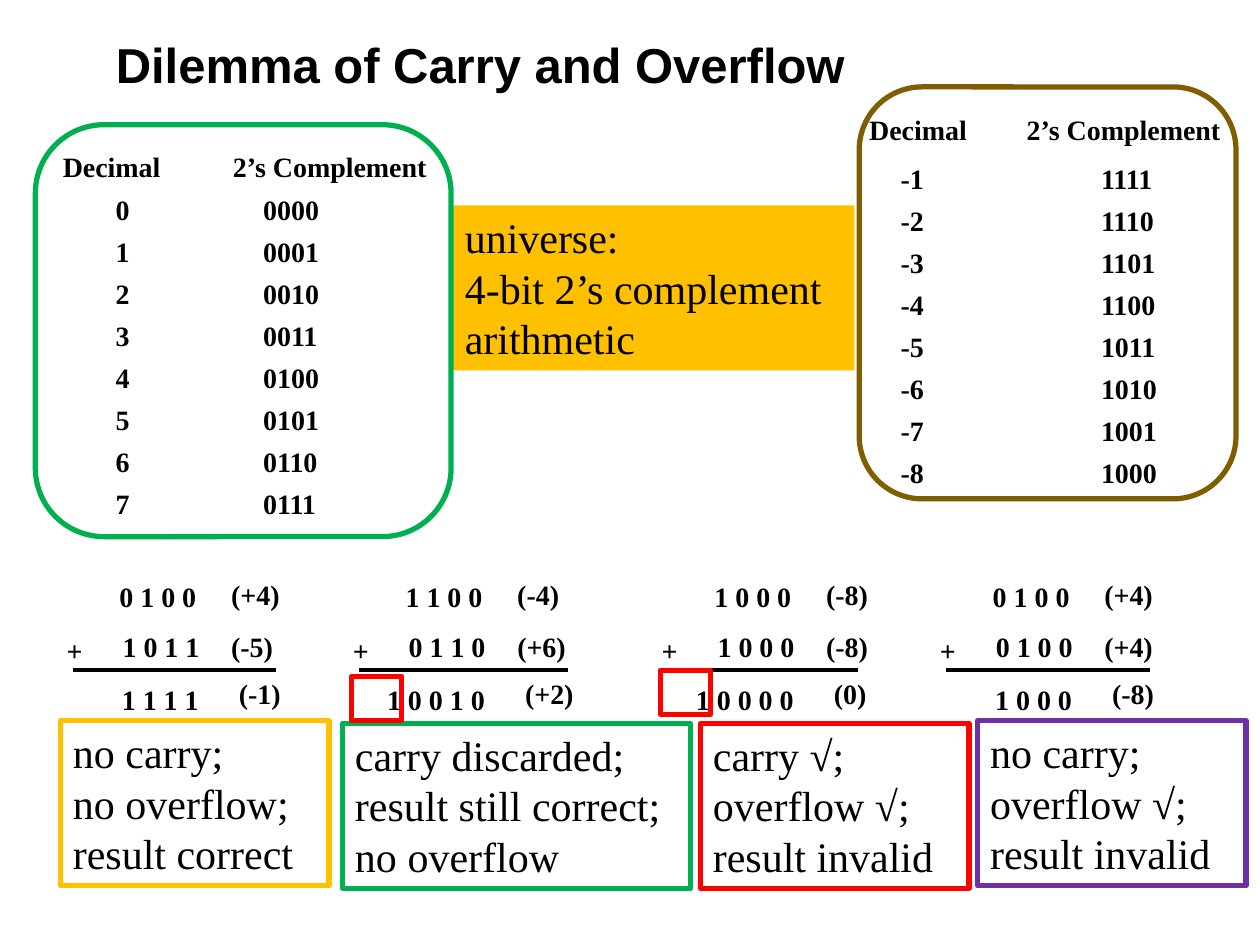
import pptx
import pptx.dml.color
import pptx.enum.shapes
import pptx.enum.text
import pptx.oxml
import pptx.oxml.ns
import pptx.util

Pt = pptx.util.Pt
RGB = pptx.dml.color.RGBColor
SHAPE = pptx.enum.shapes.MSO_SHAPE

BLACK = RGB(0x00, 0x00, 0x00)
GOLD = RGB(0xFF, 0xC0, 0x00)
GREEN = RGB(0x00, 0xB0, 0x50)
RED = RGB(0xFF, 0x00, 0x00)
PURPLE = RGB(0x70, 0x30, 0xA0)
BROWN = RGB(0x80, 0x5D, 0x00)
SERIF = "Times New Roman"

TITLE = "Dilemma of Carry and Overflow"
UNIVERSE = ["universe:", "4-bit 2’s complement arithmetic"]
HEADINGS = [("Decimal", 70.6), ("2’s Complement", 126)]  # text, width

# Each table: values, heading lefts, column lefts, heading top, first row top,
# frame (left, top, width, height), frame colour
TABLES = [
    (range(0, 8), (28.8, 126), (59, 143.3), 82.1, 106.5,
     (20.2, 71.3, 237.6, 235.4), GREEN),
    (range(-1, -9, -1), (489.6, 579.6), (507.6, 622.1), 60.5, 88.6,
     (491, 49.7, 215.3, 235.4), BROWN),
]
ROW_STEP = 24

# Each sum: left, rule length, three (bits, value) rows
SUMS = [
    (31, 116, [("0 1 0 0", "(+4)"), ("1 0 1 1", "(-5)"), ("1 1 1 1", "(-1)")]),
    (194.5, 119.5, [("1 1 0 0", "(-4)"), ("0 1 1 0", "(+6)"), ("1 0 0 1 0", "(+2)")]),
    (371, 108.5, [("1 0 0 0", "(-8)"), ("1 0 0 0", "(-8)"), ("1 0 0 0 0", "(0)")]),
    (530, 116.5, [("0 1 0 0", "(+4)"), ("0 1 0 0", "(+4)"), ("1 0 0 0", "(-8)")]),
]
# Per row: bits right edge, bits top, value left, value top; lefts from the sum
SUM_ROWS = [(88.6, 327.8, 94, 326.7), (90.4, 356.4, 94, 356.4), (90, 386.6, 98.5, 383)]
PLUS_TOP, RULE_INDENT, RULE_TOP = 358.6, 10.8, 383

# Each outcome: left, top, width, colour, lines
OUTCOMES = [
    (34.6, 411.8, 153.4, GOLD, ["no carry;", "no overflow;", "result correct"]),
    (195.8, 413.3, 198.7, GREEN,
     ["carry discarded;", "result still correct;", "no overflow"]),
    (400.3, 413.3, 153.4, RED, ["carry √;", "overflow √;", "result invalid"]),
    (558.7, 411.8, 153.4, PURPLE, ["no carry;", "overflow √;", "result invalid"]),
]
OUTCOME_HEIGHT = 94.3
CARRY_MARKS = [(200.9, 386.6), (377.3, 383)]
MARK_SIZE = (28.8, 25.2)

GLYPH_WIDTHS = {" ": 4, "(": 5.33, ")": 5.33, "-": 5.33, "+": 9.1}

prs = pptx.Presentation()
prs.slide_width, prs.slide_height = Pt(720), Pt(540)
slide = prs.slides.add_slide(prs.slide_layouts[6])


def write(shape, lines, size, font=SERIF, bold=False):
    frame = shape.text_frame
    frame.text = "\n".join(lines)
    for paragraph in frame.paragraphs:
        paragraph.alignment = pptx.enum.text.PP_ALIGN.LEFT
        for run in paragraph.runs:
            run.font.name, run.font.size, run.font.bold = font, Pt(size), bold
            run.font.color.rgb = BLACK
    return frame


def label_width(text):
    """Width of a 16 pt bold number with its side insets."""
    return 14.4 + sum(GLYPH_WIDTHS.get(glyph, 8) for glyph in text)


def label(text, left, top, width=None):
    box = slide.shapes.add_textbox(
        Pt(left), Pt(top), Pt(width or label_width(text)), Pt(26))
    write(box, [text], 16, bold=True).word_wrap = False


def panel(kind, left, top, width, height, line=None, fill=None, lines=()):
    shape = slide.shapes.add_shape(kind, Pt(left), Pt(top), Pt(width), Pt(height))
    shape.shadow.inherit = False
    if fill is None:
        shape.fill.background()
    else:
        shape.fill.solid()
        shape.fill.fore_color.rgb = fill
    if line is None:
        shape.line.fill.background()
    else:
        shape.line.color.rgb, shape.line.width = line, Pt(3)
    if lines:
        frame = write(shape, lines, 24)
        frame.word_wrap = True
        frame.vertical_anchor = pptx.enum.text.MSO_ANCHOR.TOP


def rule(left, top, length):
    line = slide.shapes.add_connector(
        pptx.enum.shapes.MSO_CONNECTOR.STRAIGHT,
        Pt(left), Pt(top), Pt(left + length), Pt(top))
    line.line.color.rgb, line.line.width = BLACK, Pt(2)
    properties = line._element.spPr
    properties.append(pptx.oxml.parse_xml(
        "<a:effectLst %s/>" % pptx.oxml.ns.nsdecls("a")))


title = slide.shapes.add_textbox(Pt(61.2), Pt(22.3), Pt(445), Pt(33.8))
title_frame = write(title, [TITLE], 28, "Arial", True)
title_frame.word_wrap = True
title_frame.margin_left = title_frame.margin_right = Pt(5)
title_frame.margin_top = title_frame.margin_bottom = Pt(2)
title_frame.paragraphs[0].line_spacing = 0.87

for left, length, rows in SUMS:
    label("+", left, PLUS_TOP)
    rule(left + RULE_INDENT, RULE_TOP, length)
    for (bits, value), (right, bits_top, value_left, value_top) in zip(rows, SUM_ROWS):
        label(bits, left + right - label_width(bits), bits_top)
        label(value, left + value_left, value_top)

for left, top, width, colour, lines in OUTCOMES:
    panel(SHAPE.RECTANGLE, left, top, width, OUTCOME_HEIGHT, line=colour, lines=lines)

panel(SHAPE.RECTANGLE, 258.5, 117.4, 229.7, 94.3, fill=GOLD, lines=UNIVERSE)

for values, heading_lefts, columns, heading_top, first_top, frame, colour in TABLES:
    for (heading, width), left in zip(HEADINGS, heading_lefts):
        label(heading, left, heading_top, width)
    for row, value in enumerate(values):
        for text, left in zip((str(value), format(value % 16, "04b")), columns):
            label(text, left, first_top + row * ROW_STEP)
    panel(SHAPE.ROUNDED_RECTANGLE, *frame, line=colour)

for left, top in CARRY_MARKS:
    panel(SHAPE.RECTANGLE, left, top, *MARK_SIZE, line=RED)

prs.save("out.pptx")
